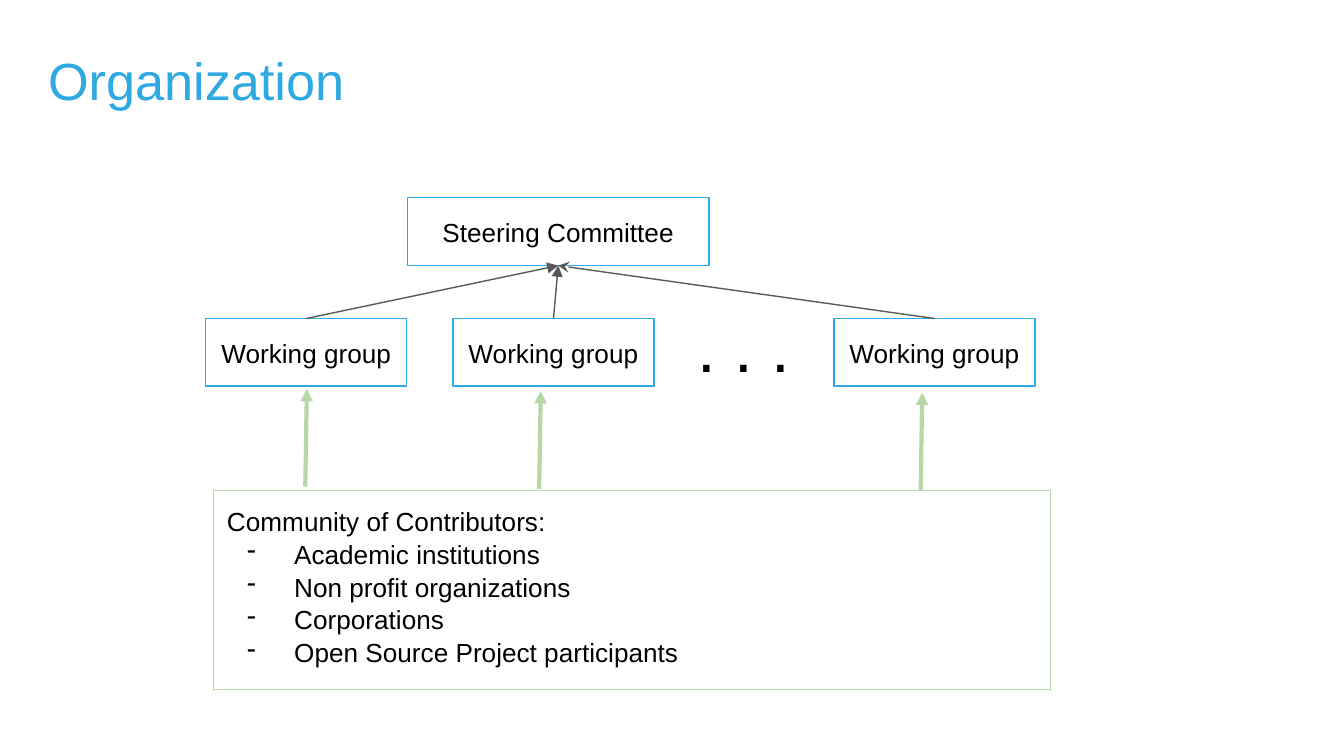
from dataclasses import dataclass

from lxml import etree
from pptx import Presentation
from pptx.dml.color import RGBColor
from pptx.enum.shapes import MSO_CONNECTOR, MSO_SHAPE
from pptx.enum.text import MSO_ANCHOR, PP_ALIGN
from pptx.oxml.ns import qn
from pptx.util import Cm, Pt

RECT = MSO_SHAPE.RECTANGLE
LINE = MSO_CONNECTOR.STRAIGHT
TOP, MIDDLE = MSO_ANCHOR.TOP, MSO_ANCHOR.MIDDLE
LEFT, CENTER = PP_ALIGN.LEFT, PP_ALIGN.CENTER
BLUE, GREEN, GREY, BLACK = "2EA9E1", "B6D7A8", "595959", "000000"
PAD = Cm(0.25)


@dataclass
class Box:
    x: float
    y: float
    w: float
    h: float
    text: str
    edge: str = BLUE
    align: int = CENTER
    anchor: int = MIDDLE


@dataclass
class Label:
    x: float
    y: float
    w: float
    h: float
    text: str
    size: int
    color: str


@dataclass
class Arrow:
    x1: float
    y1: float
    x2: float
    y2: float
    color: str
    width: float
    head: str = "triangle"


def paint(item, color: str) -> None:
    item.rgb = RGBColor.from_string(color)


def write(shape, text: str, size: int, color: str, align=LEFT, anchor=TOP) -> None:
    frame = shape.text_frame
    frame.word_wrap = True
    frame.vertical_anchor = anchor
    frame.margin_left = frame.margin_right = PAD
    frame.margin_top = frame.margin_bottom = PAD
    frame.text = text
    for para in frame.paragraphs:
        para.alignment = align
        para.line_spacing = 1.05
        para.font.name = "Arial"
        para.font.size = Pt(size)
        paint(para.font.color, color)


def draw_box(slide, box: Box):
    shape = slide.shapes.add_shape(RECT, Cm(box.x), Cm(box.y), Cm(box.w), Cm(box.h))
    shape.shadow.inherit = False
    shape.fill.background()
    paint(shape.line.color, box.edge)
    shape.line.width = Pt(0.75)
    write(shape, box.text, 14, BLACK, box.align, box.anchor)
    return shape


def draw_label(slide, label: Label) -> None:
    shape = slide.shapes.add_textbox(
        Cm(label.x), Cm(label.y), Cm(label.w), Cm(label.h)
    )
    write(shape, label.text, label.size, label.color)


def draw_arrow(slide, arrow: Arrow):
    link = slide.shapes.add_connector(
        LINE, Cm(arrow.x1), Cm(arrow.y1), Cm(arrow.x2), Cm(arrow.y2)
    )
    paint(link.line.color, arrow.color)
    link.line.width = Pt(arrow.width)
    edge = link.line._get_or_add_ln()
    etree.SubElement(edge, qn("a:tailEnd"), type=arrow.head)
    etree.SubElement(link._element.spPr, qn("a:effectLst"))
    return link


def add_dash(para) -> None:
    props = para._p.get_or_add_pPr()
    props.set("marL", str(Cm(1.27)))
    props.set("indent", str(-Cm(0.89)))
    tint = etree.Element(qn("a:buClr"))
    etree.SubElement(tint, qn("a:srgbClr"), val=BLACK)
    dash = etree.Element(qn("a:buChar"), char="-")
    spot = 1 + props.index(props.find(qn("a:lnSpc")))
    props.insert(spot, tint)
    props.insert(spot + 1, dash)


def main() -> None:
    deck = Presentation()
    deck.slide_width, deck.slide_height = Cm(25.4), Cm(14.29)
    slide = deck.slides.add_slide(deck.slide_layouts[6])

    draw_label(slide, Label(0.66, 0.61, 21.44, 1.6, "Organization", 28, BLUE))
    chief = draw_box(slide, Box(7.7, 3.74, 5.7, 1.28, "Steering Committee"))

    heads = ("triangle", "triangle", "stealth")
    for x, head in zip((3.89, 8.56, 15.76), heads):
        group = draw_box(slide, Box(x, 6.02, 3.8, 1.28, "Working group"))
        link = draw_arrow(slide, Arrow(x + 1.9, 6.02, 10.55, 5.02, GREY, 0.75, head))
        link.begin_connect(group, 0)
        link.end_connect(chief, 2)

    draw_label(slide, Label(12.93, 5.44, 2.97, 0.71, ". . .", 36, BLACK))

    lines = (
        "Community of Contributors:",
        "Academic institutions",
        "Non profit organizations",
        "Corporations",
        "Open Source Project participants",
    )
    crowd = draw_box(
        slide, Box(4.04, 9.27, 15.82, 3.76, "\n".join(lines), GREEN, LEFT, TOP)
    )
    for para in crowd.text_frame.paragraphs[1:]:
        add_dash(para)

    for x, y in ((5.77, 9.2), (10.19, 9.24), (17.4, 9.27)):
        draw_arrow(slide, Arrow(x, y, x + 0.03, y - 1.85, GREEN, 2.25))

    deck.save("out.pptx")


if __name__ == "__main__":
    main()
